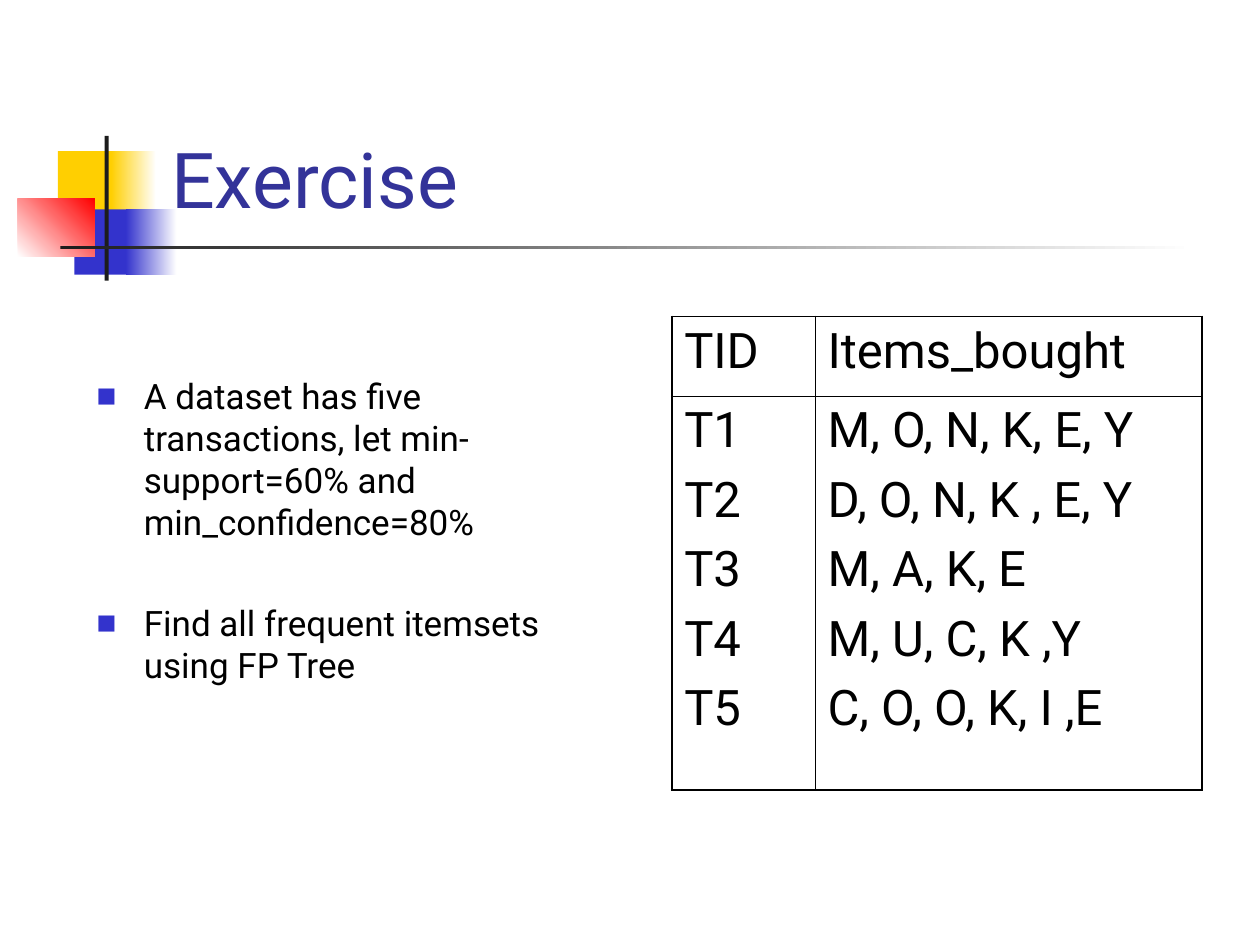
from dataclasses import dataclass

from lxml import etree
from pptx import Presentation
from pptx.dml.color import RGBColor
from pptx.enum.shapes import MSO_SHAPE
from pptx.enum.text import MSO_ANCHOR
from pptx.oxml.ns import qn
from pptx.util import Cm, Pt

RECTANGLE = MSO_SHAPE.RECTANGLE
BOTTOM = MSO_ANCHOR.BOTTOM
TOP = MSO_ANCHOR.TOP
FONT = "Roboto"
COLOURS = {
    "yellow": "FFCF01",
    "blue": "3333CC",
    "red": "FF0000",
    "dark": "1C1C1C",
    "white": "FFFFFF",
    "title": "333399",
    "text": "000000",
}
OUTER_BORDER, INNER_BORDER = 1.08, 0.45


@dataclass
class Block:
    left: float
    top: float
    width: float
    height: float
    colours: tuple[str, ...]
    angle: float = 0


@dataclass
class Bullet:
    text: str
    space_before: float


MOTIF = [
    Block(1.17, 3.05, 1.22, 1.32, ("yellow",)),
    Block(2.24, 3.05, 0.91, 1.32, ("yellow", "white")),
    Block(1.5, 4.22, 1.17, 1.32, ("blue",)),
    Block(2.54, 4.22, 1.02, 1.32, ("blue", "white")),
    Block(0.36, 4.01, 1.55, 1.17, ("white", "red"), 45),
    Block(2.11, 2.74, 0.08, 2.92, ("dark",)),
    Block(1.22, 4.95, 22.86, 0.08, ("dark", "white")),
]
BULLETS = [
    Bullet("A dataset has five transactions, let min-support=60% and min_confidence=80%", 5),
    Bullet("Find all frequent itemsets using FP Tree", 34),
]
TRANSACTIONS = {
    "T1": "M, O, N, K, E, Y",
    "T2": "D, O, N, K , E, Y",
    "T3": "M, A, K, E",
    "T4": "M, U, C, K ,Y",
    "T5": "C, O, O, K, I ,E",
}
TABLE_ROWS = [
    [["TID"], ["Items_bought"]],
    [list(TRANSACTIONS), list(TRANSACTIONS.values())],
]
COLUMN_WIDTHS = [2.89, 7.8]
ROW_HEIGHTS = [1.6, 7.95]


def rgb(name: str) -> RGBColor:
    return RGBColor.from_string(COLOURS[name])


def draw_block(slide, block: Block) -> None:
    shape = slide.shapes.add_shape(
        RECTANGLE, Cm(block.left), Cm(block.top), Cm(block.width), Cm(block.height)
    )
    shape.shadow.inherit = False
    shape.line.fill.background()
    if len(block.colours) == 1:
        shape.fill.solid()
        shape.fill.fore_color.rgb = rgb(block.colours[0])
        return
    shape.fill.gradient()
    shape.fill.gradient_angle = block.angle
    for stop, colour in zip(shape.fill.gradient_stops, block.colours):
        stop.color.rgb = rgb(colour)


def add_text_frame(slide, left: float, top: float, width: float, height: float, anchor):
    frame = slide.shapes.add_textbox(Cm(left), Cm(top), Cm(width), Cm(height)).text_frame
    frame.word_wrap = True
    frame.vertical_anchor = anchor
    return frame


def write_paragraphs(frame, lines: list[str], size: float, colour: str, space: float = 0) -> None:
    frame.text = "\n".join(lines)
    for paragraph in frame.paragraphs:
        paragraph.space_before = Pt(space)
        paragraph.font.name = FONT
        paragraph.font.size = Pt(size)
        paragraph.font.color.rgb = rgb(colour)


def add_bullet(paragraph) -> None:
    properties = paragraph._p.get_or_add_pPr()
    indent = Cm(0.95)
    properties.set("marL", str(indent))
    properties.set("indent", str(-indent))
    bullet_colour = etree.SubElement(properties, qn("a:buClr"))
    etree.SubElement(bullet_colour, qn("a:srgbClr"), val=COLOURS["blue"])
    etree.SubElement(properties, qn("a:buSzPct"), val="60000")
    etree.SubElement(properties, qn("a:buFont"), typeface=FONT)
    etree.SubElement(properties, qn("a:buChar"), char="■")
    defaults = properties.find(qn("a:defRPr"))
    if defaults is not None:
        properties.append(defaults)


def draw_bullets(slide, bullets: list[Bullet]) -> None:
    frame = add_text_frame(slide, 1.7, 7.42, 11.23, 6.88, TOP)
    write_paragraphs(frame, [bullet.text for bullet in bullets], 20, "text")
    for paragraph, bullet in zip(frame.paragraphs, bullets):
        paragraph.space_before = Pt(bullet.space_before)
        add_bullet(paragraph)


def set_borders(cell, widths: dict[str, float]) -> None:
    properties = cell._tc.get_or_add_tcPr()
    for side, width in widths.items():
        line = etree.SubElement(properties, qn(f"a:ln{side}"), w=str(Pt(width)))
        fill = etree.SubElement(line, qn("a:solidFill"))
        etree.SubElement(fill, qn("a:srgbClr"), val=COLOURS["text"])


def draw_transactions(slide) -> None:
    table = slide.shapes.add_table(
        len(ROW_HEIGHTS), len(COLUMN_WIDTHS), Cm(13.54), Cm(6.38),
        Cm(sum(COLUMN_WIDTHS)), Cm(sum(ROW_HEIGHTS)),
    ).table
    table.first_row = False
    table.horz_banding = False
    for column, width in zip(table.columns, COLUMN_WIDTHS):
        column.width = Cm(width)
    for row, height in zip(table.rows, ROW_HEIGHTS):
        row.height = Cm(height)
    for row_index, row in enumerate(TABLE_ROWS):
        for column_index, lines in enumerate(row):
            cell = table.cell(row_index, column_index)
            outer_sides = {"LR"[column_index], "TB"[row_index]}
            set_borders(cell, {
                side: OUTER_BORDER if side in outer_sides else INNER_BORDER
                for side in "LRTB"
            })
            cell.fill.background()
            write_paragraphs(cell.text_frame, lines, 28, "text", 7)


def main() -> None:
    presentation = Presentation()
    presentation.slide_width = Cm(25.4)
    presentation.slide_height = Cm(19.05)
    slide = presentation.slides.add_slide(presentation.slide_layouts[6])
    for block in MOTIF:
        draw_block(slide, block)
    title = add_text_frame(slide, 3.2, 0.58, 21.64, 4.06, BOTTOM)
    write_paragraphs(title, ["Exercise"], 44, "title")
    draw_bullets(slide, BULLETS)
    draw_transactions(slide)
    presentation.save("out.pptx")


if __name__ == "__main__":
    main()
